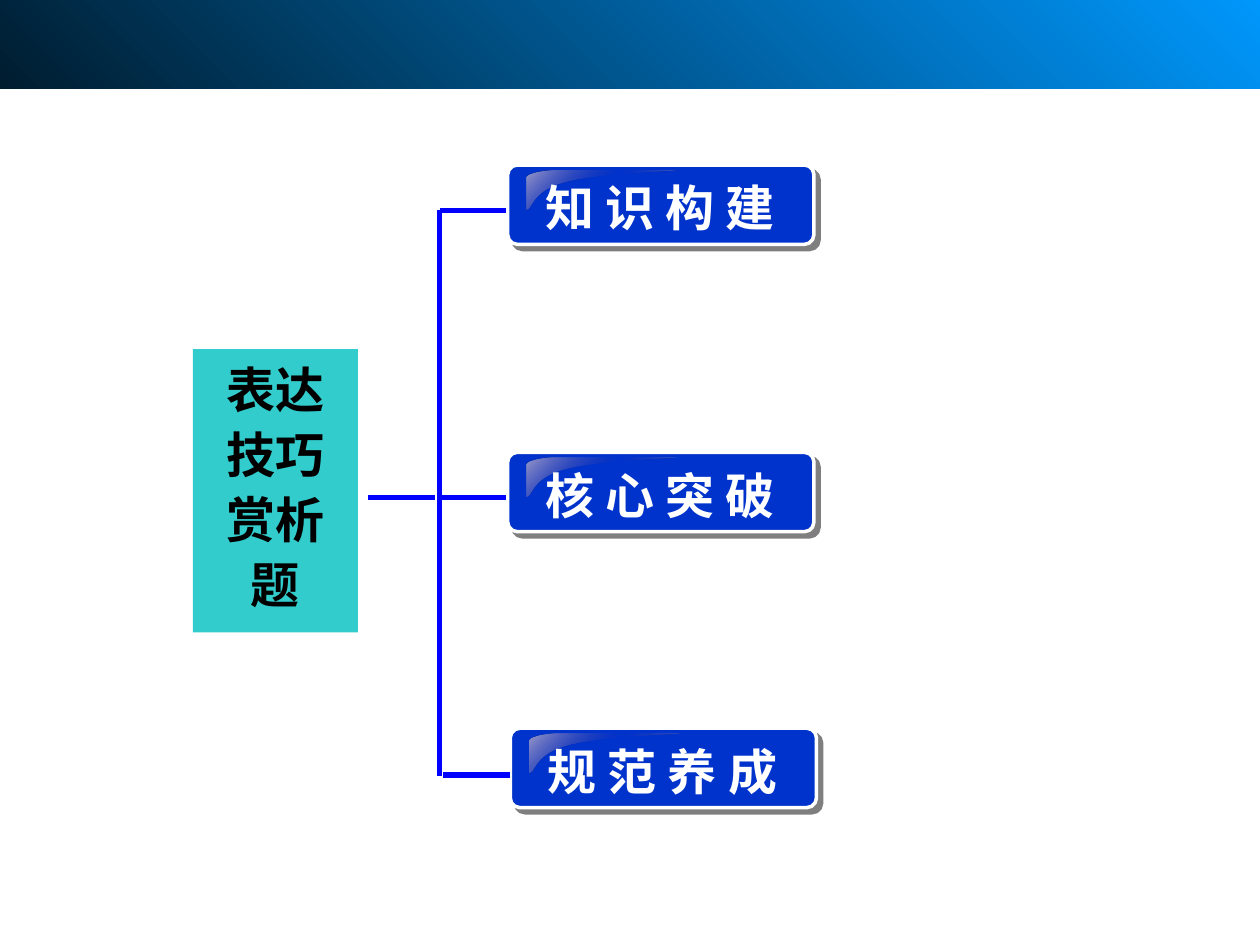
from lxml import etree
from pptx import Presentation
from pptx.dml.color import RGBColor
from pptx.enum import shapes, text
from pptx.oxml import parse_xml
from pptx.oxml.ns import nsdecls, qn
from pptx.util import Inches, Pt

COLORS = {
    "sky": "0099FF", "night": "001D30", "teal": "33CCCC", "button": "0033CC",
    "line": "0000FF", "gloss": "9B9BCC", "clear": "333399",
    "black": "000000", "white": "FFFFFF",
}
FONT = "Times New Roman"


def set_gradient(shape, stops, angle):
    """Fill with (position %, colour name, opacity %) stops; angle is clockwise."""
    stop_xml = "".join(
        f'<a:gs pos="{pos * 1000}"><a:srgbClr val="{COLORS[name]}">'
        f'<a:alpha val="{opacity * 1000}"/></a:srgbClr></a:gs>'
        for pos, name, opacity in stops)
    shape.fill.background()
    no_fill = shape._element.spPr.find(qn("a:noFill"))
    no_fill.getparent().replace(no_fill, parse_xml(
        f'<a:gradFill {nsdecls("a")} rotWithShape="1"><a:gsLst>{stop_xml}</a:gsLst>'
        f'<a:lin ang="{angle * 60000}" scaled="1"/></a:gradFill>'))
    shape.line.fill.background()
    shape.shadow.inherit = False


def write_label(shape, words, color):
    shape.text_frame.word_wrap = True
    paragraph = shape.text_frame.paragraphs[0]
    paragraph.text = words
    paragraph.font.name = FONT
    paragraph.font.size = Pt(28)
    paragraph.font.bold = True
    paragraph.font.color.rgb = RGBColor.from_string(COLORS[color])
    return paragraph


prs = Presentation()
prs.slide_width, prs.slide_height = Inches(10), Inches(7.5)
slide = prs.slides.add_slide(prs.slide_layouts[6])
canvas = slide.shapes

banner = canvas.add_shape(shapes.MSO_SHAPE.RECTANGLE,
                          Inches(0), Inches(-0.17), Inches(10), Inches(0.87))
set_gradient(banner, [(0, "sky", 100), (100, "night", 100)], 135)

topic = canvas.add_shape(shapes.MSO_SHAPE.RECTANGLE,
                         Inches(1.53), Inches(2.77), Inches(1.31), Inches(2.25))
topic.shadow.inherit = False
topic.fill.solid()
topic.fill.fore_color.rgb = RGBColor.from_string(COLORS["teal"])
topic.line.fill.background()
topic.text_frame.margin_top = Inches(0.04)
topic.text_frame.margin_bottom = Inches(0.16)
topic.text_frame.vertical_anchor = text.MSO_ANCHOR.TOP
topic_line = write_label(topic, "表达技巧赏析题", "black")
topic_line.alignment = text.PP_ALIGN.CENTER
topic_line.line_spacing = 1.1

# Gloss outline relative to the button's corner: start, curve, line, two curves
gloss_points = [
    (0.39, 0.04),
    (0.26, 0.04), (0.15, 0.07), (0.15, 0.10),
    (0.15, 0.35),
    (0.21, 0.35), (0.18, 0.20), (0.48, 0.13),
    (0.78, 0.06), (1.36, 0.05), (1.35, 0.04),
]
curve_starts = (0, 4, 7)

branches = [("知 识 构 建", 4.03, 1.31), ("核 心 突 破", 4.03, 3.59),
            ("规 范 养 成", 4.05, 5.78)]
for words, left, top in branches:
    button = canvas.add_shape(shapes.MSO_SHAPE.ROUNDED_RECTANGLE,
                              Inches(left), Inches(top), Inches(2.43), Inches(0.63))
    button.adjustments[0] = 0.12
    button.fill.solid()
    button.fill.fore_color.rgb = RGBColor.from_string(COLORS["button"])
    button.line.color.rgb = RGBColor.from_string(COLORS["white"])
    button.line.width = Pt(2)
    button.shadow.inherit = False
    button._element.spPr.find(qn("a:effectLst")).append(parse_xml(
        f'<a:outerShdw {nsdecls("a")} dist="{Pt(4.2)}" dir="2700000" algn="ctr" '
        f'rotWithShape="0"><a:srgbClr val="{COLORS["black"]}">'
        '<a:alpha val="50000"/></a:srgbClr></a:outerShdw>'))

    outline = [(Inches(left + x), Inches(top + y)) for x, y in gloss_points]
    builder = canvas.build_freeform(*outline[0])
    builder.add_line_segments(outline[1:], close=True)
    gloss = builder.convert_to_shape()
    # Each run of three segments becomes one cubic curve
    segments = list(gloss._element.iter(qn("a:lnTo")))
    for start in curve_starts:
        curve = etree.Element(qn("a:cubicBezTo"))
        segments[start].addprevious(curve)
        for segment in segments[start:start + 3]:
            curve.append(segment[0])
            segment.getparent().remove(segment)
    set_gradient(gloss, [(0, "gloss", 100), (50, "clear", 0), (100, "gloss", 100)], 225)

    label = canvas.add_textbox(Inches(left + 0.2), Inches(top + 0.05),
                               Inches(4.11), Inches(0.57))
    label.text_frame.vertical_anchor = text.MSO_ANCHOR.MIDDLE
    write_label(label, words, "white")

bracket_lines = [
    (2.92, 3.95, 3.45, 3.95),
    (3.49, 1.67, 3.49, 6.16),
    (3.49, 1.67, 4.02, 1.67),
    (3.49, 3.95, 4.02, 3.95),
    (3.52, 6.15, 4.05, 6.15),
]
for ends in bracket_lines:
    bracket = canvas.add_connector(shapes.MSO_CONNECTOR.STRAIGHT, *map(Inches, ends))
    bracket.line.color.rgb = RGBColor.from_string(COLORS["line"])
    bracket.line.width = Pt(3)
    etree.SubElement(bracket._element.spPr, qn("a:effectLst"))

prs.save("out.pptx")
